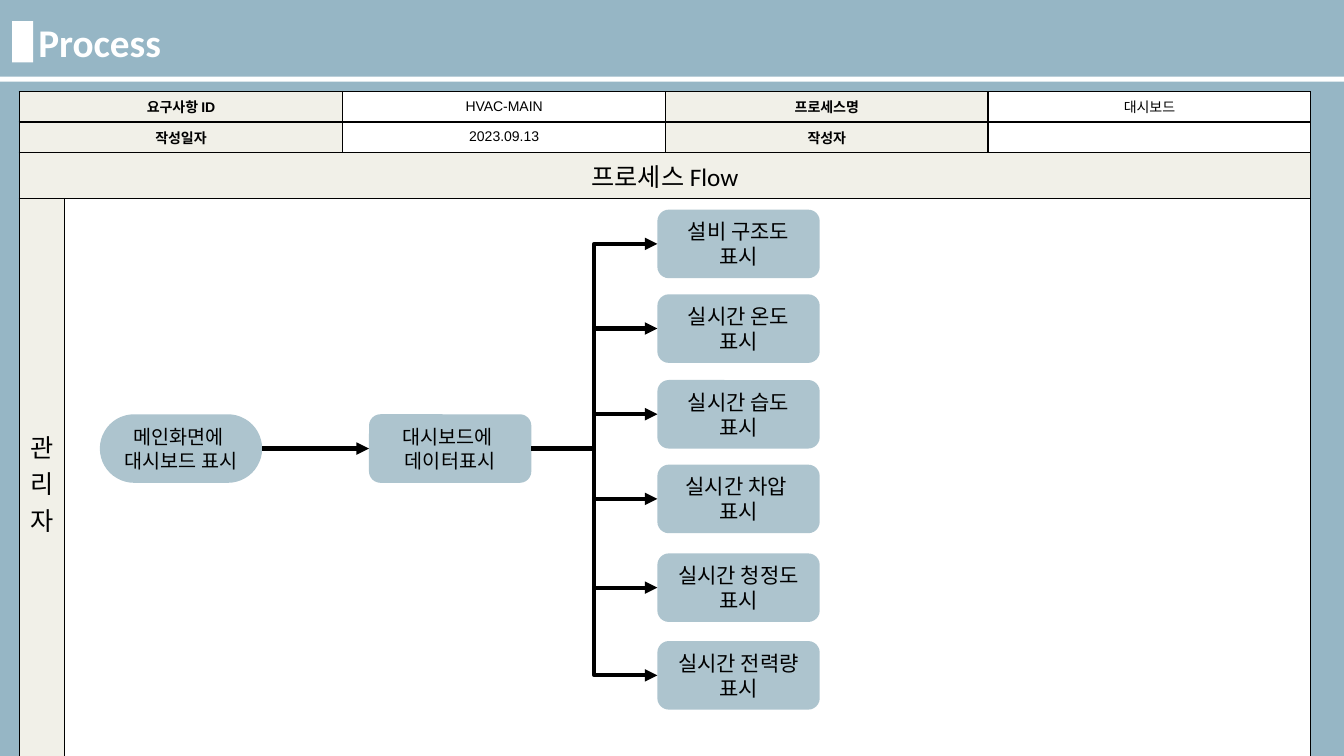
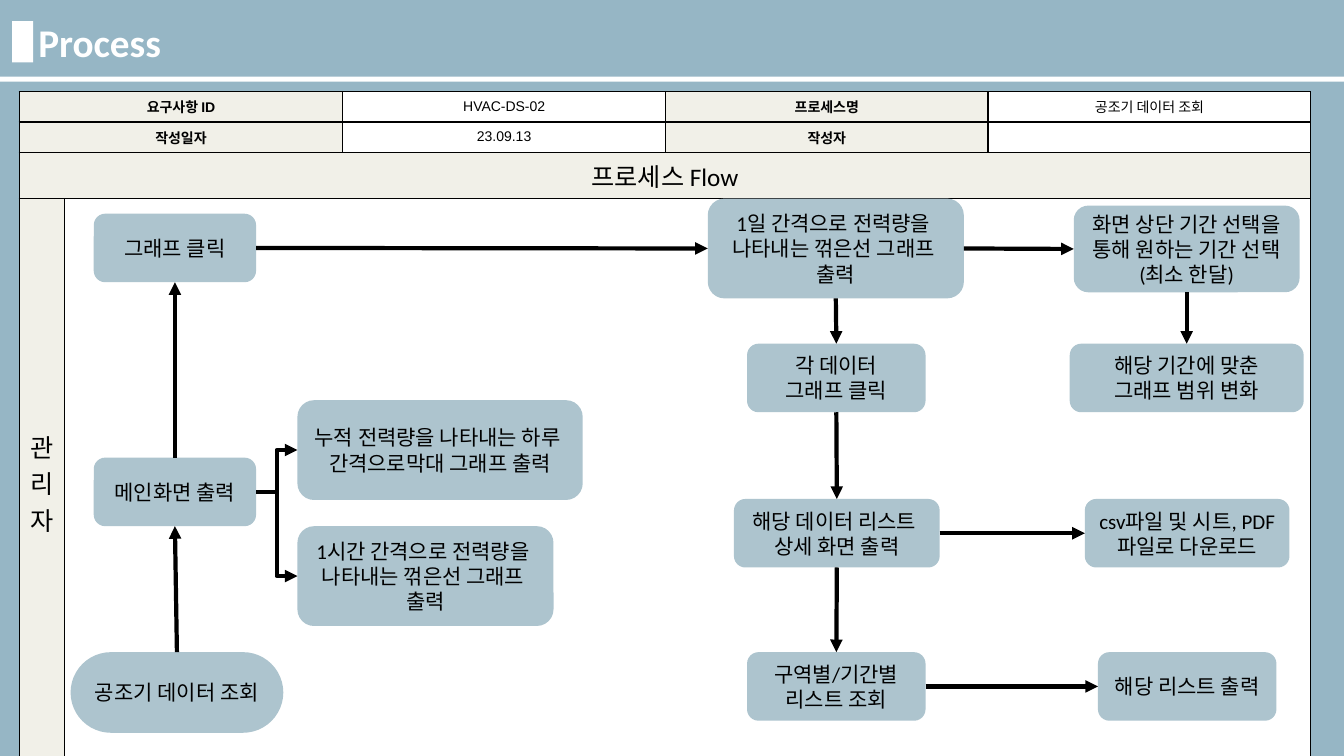
from lxml.etree import SubElement
from pptx import Presentation
from pptx.dml.color import RGBColor
from pptx.enum.shapes import MSO_CONNECTOR, MSO_SHAPE
from pptx.enum.text import MSO_ANCHOR, MSO_AUTO_SIZE, PP_ALIGN
from pptx.oxml import parse_xml
from pptx.oxml.ns import nsdecls, qn
from pptx.util import Inches, Pt

TOP, LEFT, BOTTOM, RIGHT = range(4)


def color(code):
    return RGBColor.from_string(code)


class Deck:
    """Holds the style and the current slide of a process deck."""

    BACK, BOX, HEAD = "96B6C5", "ADC4CE", "F1F0E8"
    WHITE, BLACK = "FFFFFF", "000000"
    FONT, SMALL = "Calibri", "Arial"
    COLS = (0.45, 2.76, 3.2, 3.2, 3.2)
    ROWS = (0.3, 0.3, 0.46, 5.63)

    def __init__(self):
        self.show = Presentation()
        self.show.slide_width = Inches(13.33)
        self.show.slide_height = Inches(7.5)
        self.slide = None

    def page(self, code, name, date):
        self.slide = self.show.slides.add_slide(self.show.slide_layouts[5])
        fill = self.slide.background.fill
        fill.solid()
        fill.fore_color.rgb = color(self.BACK)
        self.form(code, name, date)
        self.title("Process")
        self.shape(MSO_SHAPE.RECTANGLE, (0.12, 0.21, 0.21, 0.41), self.WHITE)
        self.shape(MSO_SHAPE.RECTANGLE, (0, 0.76, 13.33, 0.05), self.WHITE)

    def style(self, para, size, ink, font=FONT, bold=False):
        para.font.name = font
        para.font.size = Pt(size)
        para.font.bold = bold
        para.font.color.rgb = color(ink)

    def title(self, text):
        item = self.slide.shapes.title
        item.left, item.top, item.width, item.height = map(Inches, (0.28, 0.13, 11.97, 0.57))
        frame = item.text_frame
        frame.text = text
        frame.auto_size = MSO_AUTO_SIZE.NONE
        frame.vertical_anchor = MSO_ANCHOR.TOP
        para = frame.paragraphs[0]
        para.alignment = PP_ALIGN.LEFT
        self.style(para, 28, self.WHITE, bold=True)

    def shape(self, kind, area, fill):
        item = self.slide.shapes.add_shape(kind, *map(Inches, area))
        item.shadow.inherit = False
        item.fill.solid()
        item.fill.fore_color.rgb = color(fill)
        item.line.fill.background()
        return item

    def box(self, text, left, top, width=1.61, height=0.68, size=15, pill=False):
        item = self.shape(MSO_SHAPE.ROUNDED_RECTANGLE, (left, top, width, height), self.BOX)
        if pill:
            item.adjustments[0] = 0.5
        frame = item.text_frame
        frame.text = text
        frame.word_wrap = False
        frame.vertical_anchor = MSO_ANCHOR.MIDDLE
        for para in frame.paragraphs:
            para.alignment = PP_ALIGN.CENTER
            self.style(para, size, self.BLACK)
        return item

    def link(self, start, end, out=RIGHT, into=LEFT, bent=False):
        kind = MSO_CONNECTOR.ELBOW if bent else MSO_CONNECTOR.STRAIGHT
        item = self.slide.shapes.add_connector(kind, 0, 0, 0, 0)
        item.begin_connect(start, out)
        item.end_connect(end, into)
        item.line.width = Pt(3)
        item.line.color.rgb = color(self.BLACK)
        SubElement(item.line._get_or_add_ln(), qn("a:tailEnd"), type="triangle")
        SubElement(item._element.spPr, qn("a:effectLst"))

    def cell(self, cell, text, size, font, bold, fill):
        cell.text = text
        cell.vertical_anchor = MSO_ANCHOR.MIDDLE
        cell.fill.solid()
        cell.fill.fore_color.rgb = color(fill)
        para = cell.text_frame.paragraphs[0]
        para.alignment = PP_ALIGN.CENTER
        self.style(para, size, self.BLACK, font, bold)
        para._p.get_or_add_endParaRPr().set("sz", str(size * 100))
        props = cell._tc.get_or_add_tcPr()
        for spot, side in enumerate("LRTB"):
            props.insert(spot, parse_xml(
                f'<a:ln{side} {nsdecls("a")} w="12700"><a:solidFill>'
                f'<a:srgbClr val="{self.BLACK}"/></a:solidFill></a:ln{side}>'))

    def form(self, code, name, date):
        area = map(Inches, (0.19, 0.91, sum(self.COLS), sum(self.ROWS)))
        table = self.slide.shapes.add_table(len(self.ROWS), len(self.COLS), *area).table
        table.first_row = table.horz_banding = False
        for col, width in zip(table.columns, self.COLS):
            col.width = Inches(width)
        for row, height in zip(table.rows, self.ROWS):
            row.height = Inches(height)
        texts = (
            ("요구사항 ID", "", code, "프로세스명", name),
            ("작성일자", "", date, "작성자", ""),
            ("프로세스 Flow", "", "", "", ""),
            ("관리자", "", "", "", ""),
        )
        for r, line in enumerate(texts):
            for c, text in enumerate(line):
                head = c in (0, 1, 3) if r < 2 else r == 2 or c == 0
                size, font = (10, self.SMALL) if r < 2 or not text else (18, self.FONT)
                self.cell(table.cell(r, c), text, size, font, head and r < 2,
                          self.HEAD if head else self.WHITE)
        for r, first, last in ((0, 0, 1), (1, 0, 1), (2, 0, 4), (3, 1, 4)):
            table.cell(r, first).merge(table.cell(r, last))


def board(deck):
    deck.page("HVAC-MAIN", "대시보드", "2023.09.13")
    start = deck.box("메인화면에 \n대시보드 표시", 0.99, 4.11, size=14, pill=True)
    data = deck.box("대시보드에 \n데이터표시", 3.66, 4.11, size=14)
    deck.link(start, data)
    views = (
        ("설비 구조도", 2.08), ("실시간 온도", 2.92), ("실시간 습도", 3.77),
        ("실시간 차압 ", 4.61), ("실시간 청정도", 5.49), ("실시간 전력량", 6.36),
    )
    for name, top in views:
        deck.link(data, deck.box(f"{name}\n표시", 6.52, top), bent=True)


def query(deck):
    deck.page("HVAC-DS-02", "공조기 데이터 조회", "23.09.13")
    trend = "간격으로 전력량을 \n나타내는 꺾은선 그래프 \n출력"
    start = deck.box("공조기 데이터 조회", 0.7, 6.47, 2.11, 0.8, pill=True)
    main = deck.box("메인화면 출력", 0.93, 4.54)
    graph = deck.box("그래프 클릭", 0.93, 2.12)
    total = deck.box("누적 전력량을 나타내는 하루 \n간격으로막대 그래프 출력", 2.95, 3.97, 2.83, 0.99)
    hour = deck.box("1시간 " + trend, 2.95, 5.22, 2.54, 0.99)
    day = deck.box("1일 " + trend, 7.02, 1.97, 2.54, 0.99)
    each = deck.box("각 데이터\n그래프 클릭", 7.41, 3.41, 1.77)
    items = deck.box("해당 데이터 리스트 \n상세 화면 출력", 7.28, 4.95, 2.04)
    zone = deck.box("구역별/기간별\n리스트 조회", 7.41, 6.47, 1.77)
    term = deck.box("화면 상단 기간 선택을\n통해 원하는 기간 선택\n(최소 한달)", 10.65, 2.04, 2.24, 0.86)
    scope = deck.box("해당 기간에 맞춘\n그래프 범위 변화", 10.61, 3.41, 2.32)
    file = deck.box("csv파일 및 시트, PDF\n파일로 다운로드", 10.76, 4.95, 2.03)
    result = deck.box("해당 리스트 출력", 10.89, 6.47, 1.77)

    for low, high in ((start, main), (main, graph)):
        deck.link(low, high, TOP, BOTTOM)
    for high, low in ((day, each), (each, items), (items, zone), (term, scope)):
        deck.link(high, low, BOTTOM, TOP)
    for near, far in ((graph, day), (day, term), (items, file), (zone, result)):
        deck.link(near, far)
    for chart in (total, hour):
        deck.link(main, chart, bent=True)


def main():
    deck = Deck()
    board(deck)
    query(deck)
    deck.show.save("out.pptx")


if __name__ == "__main__":
    main()
